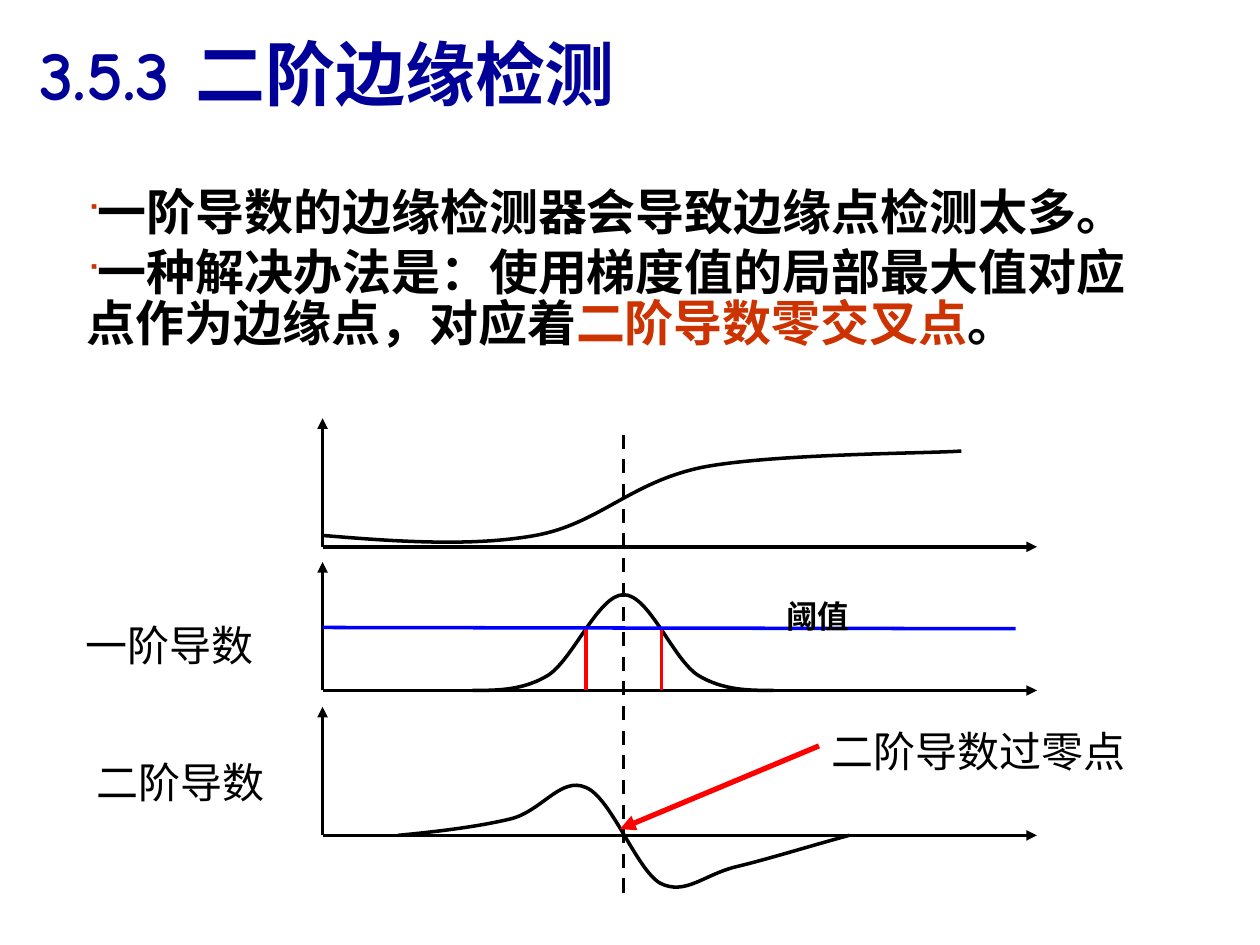
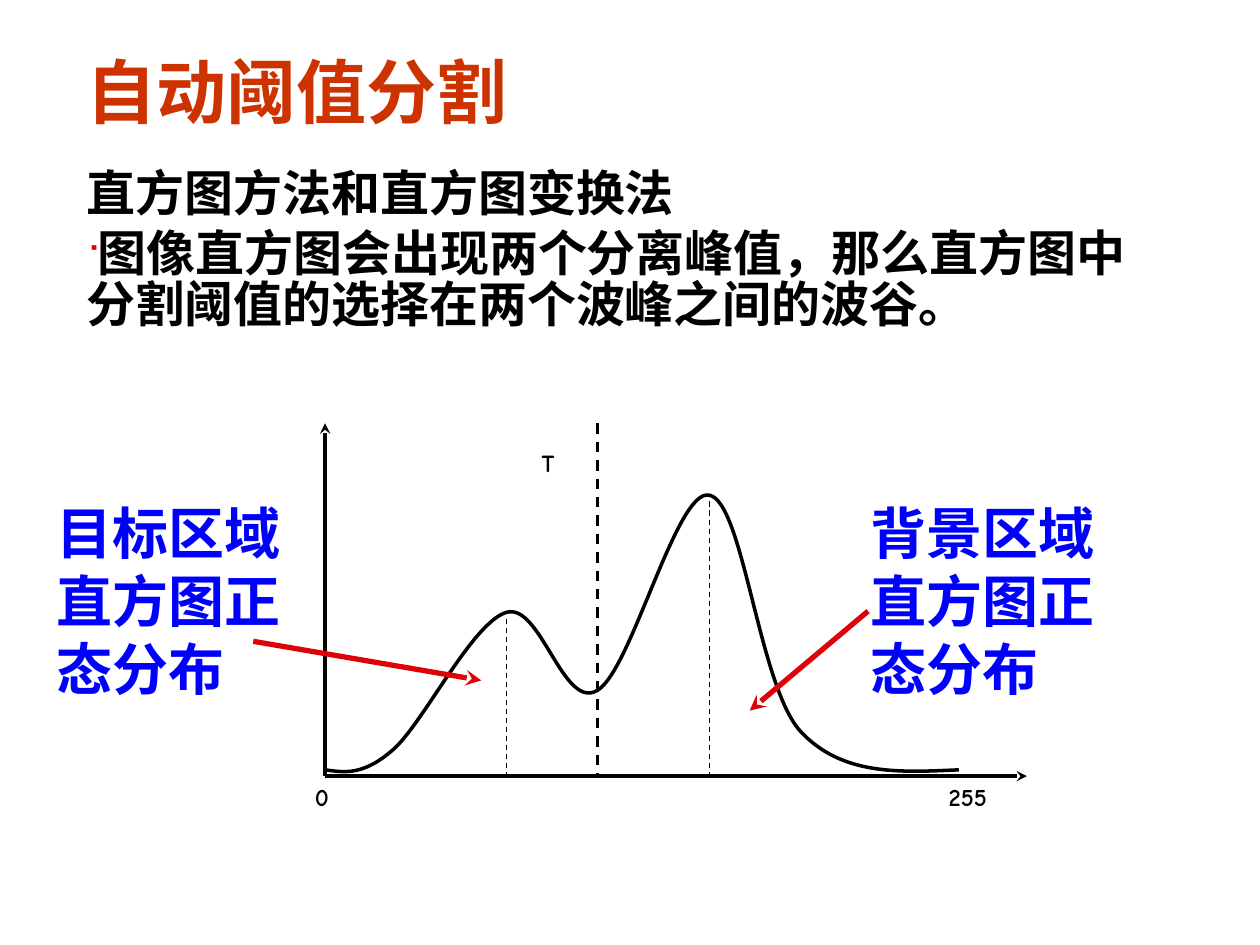
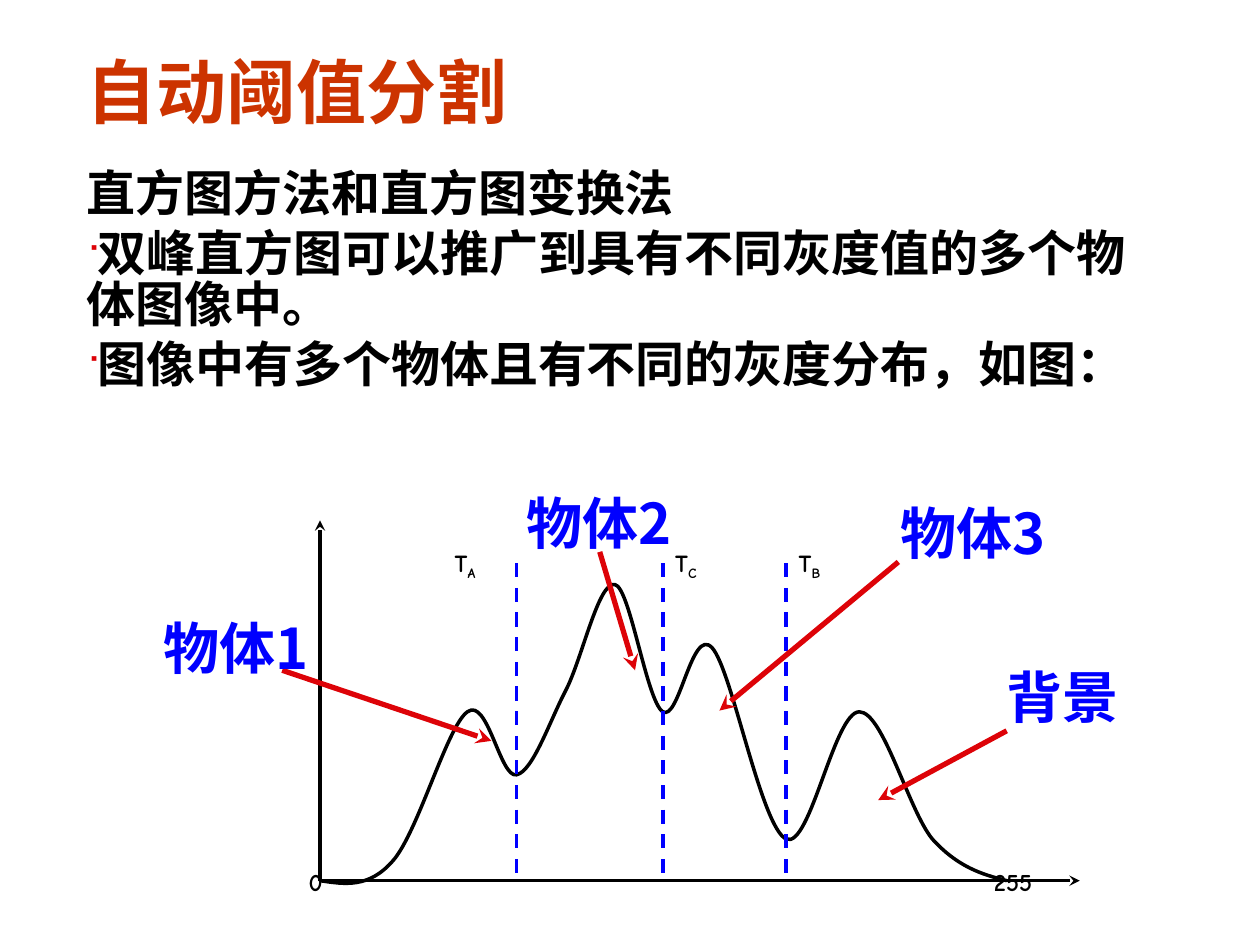
"""Build three slides on second-order edge detection and automatic thresholding."""
from lxml.etree import SubElement
from pptx import Presentation
from pptx.dml.color import RGBColor
from pptx.enum.dml import MSO_LINE
from pptx.enum.shapes import MSO_CONNECTOR
from pptx.enum.text import MSO_ANCHOR, MSO_AUTO_SIZE, PP_ALIGN
from pptx.oxml.ns import qn
from pptx.util import Inches, Pt

BLACK = RGBColor(0x00, 0x00, 0x00)
NAVY = RGBColor(0x00, 0x00, 0x99)
BLUE = RGBColor(0x00, 0x00, 0xFF)
RED = RGBColor(0xFF, 0x00, 0x00)
CRIMSON = RGBColor(0xDD, 0x03, 0x08)
RUST = RGBColor(0xCC, 0x33, 0x00)
LATIN, CHINESE = "Comic Neue", "Noto Sans CJK SC"
LINE_HEIGHT = 1.21
BODY_SPACING = 0.85

THRESHOLD_TITLE = "自动阈值分割"
THRESHOLD_TITLE_BOX = (0.59, 0.36, 8.66, 0.71)
HISTOGRAM_HEADING = "直方图方法和直方图变换法"

EDGE_BODY = [
    ["一阶导数的边缘检测器会导致边缘点检测太多。"],
    ["一种解决办法是：使用梯度值的局部最大值对应点作为边缘点，对应着",
     ("二阶导数零交叉点", RUST), "。"],
]
TWO_PEAK_BODY = [
    ["图像直方图会出现两个分离峰值，那么直方图中分割阈值的选择在两个波峰之间的波谷。"],
]
MANY_PEAK_BODY = [
    ["双峰直方图可以推广到具有不同灰度值的多个物体图像中。"],
    ["图像中有多个物体且有不同的灰度分布，如图："],
]

EDGE_AXIS_BASES = (4.34, 5.48, 6.63)
EDGE_CURVES = [
    [(2.56, 4.25), (3.15, 4.3), (3.75, 4.34), (4.25, 4.25), (4.75, 4.16),
     (5, 3.83), (5.57, 3.71), (6.13, 3.6), (7.38, 3.6), (7.63, 3.58)],
    [(3.75, 5.48), (3.95, 5.48), (4.15, 5.48), (4.35, 5.36), (4.55, 5.23),
     (4.75, 4.72), (4.95, 4.72), (5.15, 4.72), (5.34, 5.23), (5.54, 5.36),
     (5.74, 5.48), (5.94, 5.48), (6.14, 5.48)],
    [(3.16, 6.63), (3.48, 6.6), (3.8, 6.56), (4.05, 6.5), (4.3, 6.44),
     (4.45, 6.16), (4.65, 6.25), (4.85, 6.33), (5.05, 6.9), (5.24, 7.01),
     (5.44, 7.11), (5.59, 6.94), (5.84, 6.88), (6.09, 6.82), (6.41, 6.72),
     (6.74, 6.63)],
]
EDGE_LABELS = [
    ("一阶导数", (0.58, 4.83, 1.76, 0.57)),
    ("二阶导数", (0.67, 5.92, 1.76, 0.57)),
    ("二阶导数过零点", (6.5, 5.67, 2.92, 0.57)),
]

TWO_PEAK_CURVE = [
    (2.58, 6.11), (2.73, 6.13), (2.88, 6.16), (3.12, 5.95), (3.36, 5.74),
    (3.75, 4.94), (4.02, 4.86), (4.29, 4.78), (4.47, 5.64), (4.74, 5.48),
    (5.01, 5.33), (5.37, 3.87), (5.63, 3.93), (5.9, 3.98), (6.02, 5.43),
    (6.35, 5.8), (6.68, 6.16), (7.15, 6.13), (7.61, 6.11)]
TWO_PEAK_GUIDES = [(4.02, 4.91, 0.75), (5.63, 3.98, 0.75), (4.74, 3.36, 1.5)]
TWO_PEAK_MARKS = [
    (["T"], (4.2, 3.51, 0.72, 0.78)),
    (["0"], (2.4, 6.16, 0.72, 0.62)),
    (["255"], (7.43, 6.16, 0.72, 0.62)),
]
TWO_PEAK_CALLOUTS = [
    ("目标区域直方图正态分布", (0.35, 3.91, 2.12, 1.7), (2.01, 5.09), (3.82, 5.4)),
    ("背景区域直方图正态分布", (6.81, 3.91, 2.12, 1.7), (6.89, 4.85), (5.95, 5.64)),
]

MANY_PEAK_CURVE = [
    (2.54, 6.99), (2.74, 7.02), (2.93, 7.05), (3.12, 6.83), (3.32, 6.6),
    (3.55, 5.76), (3.71, 5.65), (3.87, 5.53), (3.97, 6.18), (4.1, 6.15),
    (4.23, 6.12), (4.36, 5.73), (4.49, 5.48), (4.62, 5.23), (4.75, 4.61),
    (4.88, 4.64), (5, 4.66), (5.13, 5.56), (5.26, 5.65), (5.39, 5.73),
    (5.49, 4.97), (5.65, 5.14), (5.81, 5.31), (6.04, 6.57), (6.24, 6.66),
    (6.43, 6.74), (6.62, 5.65), (6.82, 5.65), (7.01, 5.65), (7.21, 6.43),
    (7.4, 6.66), (7.6, 6.88), (7.79, 6.94), (7.99, 6.99)]
MANY_PEAK_THRESHOLDS = (4.1, 5.26, 6.24)
MANY_PEAK_MARKS = [
    (["T", ("A", None)], (3.51, 4.3, 0.78, 0.67)),
    (["T", ("B", None)], (6.24, 4.3, 0.78, 0.67)),
    (["T", ("C", None)], (5.26, 4.3, 0.78, 0.67)),
    (["0"], (2.35, 6.83, 0.58, 0.67)),
    (["255"], (7.79, 6.83, 0.78, 0.67)),
]
MANY_PEAK_CALLOUTS = [
    ("物体1", (1.2, 4.82, 2.78, 0.63), (2.24, 5.32), (3.9, 5.88)),
    ("物体2", (4.08, 3.83, 2.42, 0.63), (4.76, 4.38), (5.04, 5.32)),
    ("物体3", (7.05, 3.91, 2.28, 0.63), (7.13, 4.46), (5.71, 5.64)),
    ("背景", (7.89, 5.21, 1.68, 0.63), (7.99, 5.8), (6.97, 6.35)),
]


def style_font(para, size, color, bold, latin):
    font = para.font
    font.size, font.bold, font.name = Pt(size), bold, latin
    font.color.rgb = color
    SubElement(font._element, qn("a:ea"), typeface=CHINESE)


def add_spans(para, spans):
    """Add plain strings, (text, colour) spans, or subscripts as (text, None)."""
    for span in spans:
        text, color = (span, BLACK) if isinstance(span, str) else span
        run = para.add_run()
        run.text = text
        if color is None:
            run.font._element.set("baseline", "-25000")
        elif color != BLACK:
            run.font.color.rgb = color


def add_bullet(para, color):
    props = para._p.get_or_add_pPr()
    props.set("marL", "0")
    props.set("indent", "0")
    SubElement(SubElement(props, qn("a:buClr")), qn("a:srgbClr"), val=str(color))
    SubElement(props, qn("a:buSzPct"), val="65000")
    SubElement(props, qn("a:buFont"), typeface="Wingdings")
    SubElement(props, qn("a:buChar"), char="■")


def add_frame(page, area, anchor=MSO_ANCHOR.TOP):
    frame = page.shapes.add_textbox(*map(Inches, area)).text_frame
    frame.word_wrap = True
    frame.vertical_anchor = anchor
    return frame


def add_label(page, text, area, size, color=BLACK, bold=False, latin=LATIN):
    para = add_frame(page, area, MSO_ANCHOR.MIDDLE).paragraphs[0]
    para.line_spacing = Pt(round(size * LINE_HEIGHT, 1))
    add_spans(para, [text])
    style_font(para, size, color, bold, latin)


def add_marks(page, marks):
    for spans, area in marks:
        para = add_frame(page, area).paragraphs[0]
        add_spans(para, spans)
        style_font(para, 14, BLACK, True, LATIN)


def add_body(page, area, bullets, bullet_color, heading=None):
    frame = add_frame(page, area)
    items = ([([heading], False)] if heading else []) + [(spans, True) for spans in bullets]
    for index, (spans, bulleted) in enumerate(items):
        para = frame.add_paragraph() if index else frame.paragraphs[0]
        para.line_spacing = Pt(round(28 * LINE_HEIGHT * BODY_SPACING, 1))
        if index:
            para.space_before = Pt(5.5)
        if bulleted:
            add_bullet(para, bullet_color)
        add_spans(para, spans)
        style_font(para, 28, BLACK, True, CHINESE)


def add_line(page, start, end, color=BLACK, width=2, dashed=False, arrow=None):
    ends = map(Inches, (*start, *end))
    connector = page.shapes.add_connector(MSO_CONNECTOR.STRAIGHT, *ends)
    connector.line.color.rgb = color
    connector.line.width = Pt(width)
    if dashed:
        connector.line.dash_style = MSO_LINE.DASH
    props = connector._element.spPr
    if arrow:
        SubElement(props.find(qn("a:ln")), qn("a:tailEnd"), type=arrow)
    SubElement(props, qn("a:effectLst"))


def add_axes(page, origin, right, top, arrow):
    left, base = origin
    add_line(page, origin, (right, base), arrow=arrow)
    add_line(page, origin, (left, top), arrow=arrow)


def add_curve(page, points):
    """Draw cubic curves through a start point and triples of control points."""
    start, *controls = [(Inches(x), Inches(y)) for x, y in points]
    builder = page.shapes.build_freeform(*start)
    builder.add_line_segments(controls, close=False)
    curve = builder.convert_to_shape()
    outline = next(curve._element.iter(qn("a:path")))
    steps = outline.findall(qn("a:lnTo"))
    for first in range(0, len(steps), 3):
        bend = SubElement(outline, qn("a:cubicBezTo"))
        for step in steps[first:first + 3]:
            bend.append(step[0])
            outline.remove(step)
    curve.shadow.inherit = False
    curve.fill.background()
    curve.line.color.rgb = BLACK
    curve.line.width = Pt(2)


def add_callouts(page, callouts, latin):
    for text, area, start, end in callouts:
        add_line(page, start, end, CRIMSON, 3, arrow="stealth")
        add_label(page, text, area, 32, BLUE, True, latin)


def add_page(deck, text, area, color=RUST, latin=CHINESE):
    page = deck.slides.add_slide(deck.slide_layouts[5])
    title = page.shapes.title
    title.left, title.top, title.width, title.height = map(Inches, area)
    frame = title.text_frame
    frame.auto_size = MSO_AUTO_SIZE.NONE
    frame.vertical_anchor = MSO_ANCHOR.MIDDLE
    para = frame.paragraphs[0]
    para.alignment = PP_ALIGN.LEFT
    add_spans(para, [text])
    style_font(para, 40, color, True, latin)
    return page


def build_edge_page(deck):
    page = add_page(deck, "3.5.3 二阶边缘检测", (0.21, 0.19, 5.43, 0.77), NAVY, LATIN)
    add_body(page, (0.59, 1.46, 8.82, 1.5), EDGE_BODY, RUST)
    for base, curve in zip(EDGE_AXIS_BASES, EDGE_CURVES):
        add_axes(page, (2.56, base), 8.23, base - 1.02, "triangle")
        add_curve(page, curve)
    add_line(page, (4.95, 3.45), (4.95, 7.14), dashed=True)
    for crossing in (4.65, 5.25):
        add_line(page, (crossing, 4.98), (crossing, 5.48), RED)
    add_line(page, (2.56, 4.98), (8.06, 4.99), BLUE)
    add_label(page, "阈值", (6.14, 4.67, 1.79, 0.44), 18, bold=True)
    for text, area in EDGE_LABELS:
        add_label(page, text, area, 24)
    add_line(page, (6.5, 5.92), (4.92, 6.58), RED, 3, arrow="triangle")


def build_two_peak_page(deck):
    page = add_page(deck, THRESHOLD_TITLE, THRESHOLD_TITLE_BOX)
    add_body(page, (0.59, 1.31, 8.82, 1.5), TWO_PEAK_BODY, CRIMSON, HISTOGRAM_HEADING)
    add_axes(page, (2.58, 6.16), 8.15, 3.36, "stealth")
    add_curve(page, TWO_PEAK_CURVE)
    for x, top, width in TWO_PEAK_GUIDES:
        add_line(page, (x, top), (x, 6.16), width=width, dashed=True)
    add_marks(page, TWO_PEAK_MARKS)
    add_callouts(page, TWO_PEAK_CALLOUTS, LATIN)


def build_many_peak_page(deck):
    page = add_page(deck, THRESHOLD_TITLE, THRESHOLD_TITLE_BOX)
    add_body(page, (0.59, 1.31, 8.82, 2), MANY_PEAK_BODY, CRIMSON, HISTOGRAM_HEADING)
    add_axes(page, (2.54, 6.99), 8.57, 4.13, "stealth")
    add_curve(page, MANY_PEAK_CURVE)
    for x in MANY_PEAK_THRESHOLDS:
        add_line(page, (x, 4.47), (x, 6.99), BLUE, dashed=True)
    add_marks(page, MANY_PEAK_MARKS)
    add_callouts(page, MANY_PEAK_CALLOUTS, CHINESE)


def main():
    deck = Presentation()
    deck.slide_width, deck.slide_height = Inches(10), Inches(7.5)
    build_edge_page(deck)
    build_two_peak_page(deck)
    build_many_peak_page(deck)
    deck.save("out.pptx")


if __name__ == "__main__":
    main()
